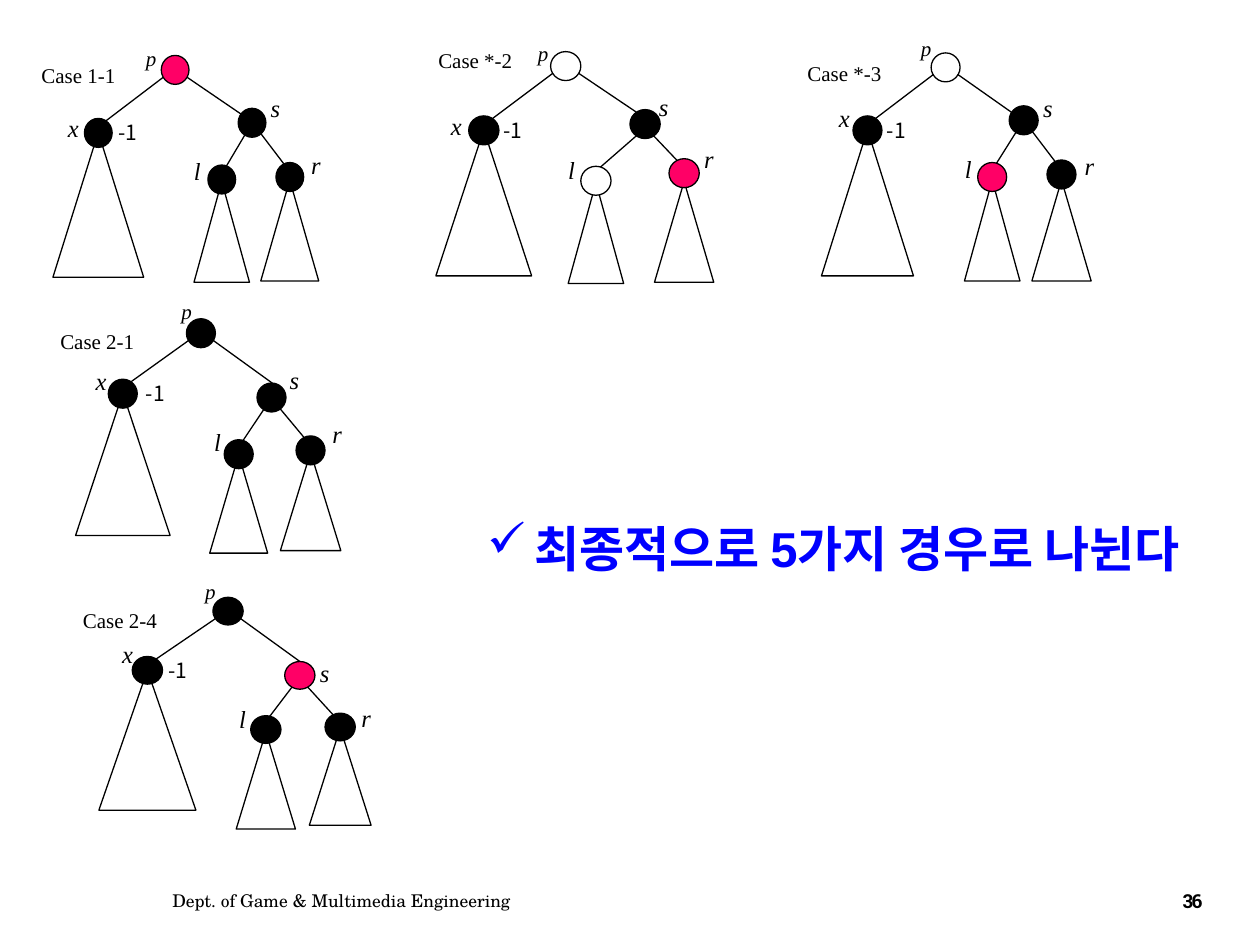
"""Build a slide of five tree cases and their conclusion."""
from lxml import etree
from pptx import Presentation
from pptx.dml.color import RGBColor
from pptx.enum.shapes import MSO_CONNECTOR, MSO_SHAPE
from pptx.enum.text import MSO_ANCHOR, MSO_AUTO_SIZE, PP_ALIGN
from pptx.oxml.ns import qn
from pptx.util import Cm, Pt

INCH = 2.54
BLACK = RGBColor(0x00, 0x00, 0x00)
WHITE = RGBColor(0xFF, 0xFF, 0xFF)
RED = RGBColor(0xFF, 0x00, 0x66)
BLUE = RGBColor(0x00, 0x00, 0xFF)
STRAIGHT = MSO_CONNECTOR.STRAIGHT
OVAL, CONE = MSO_SHAPE.OVAL, MSO_SHAPE.ISOSCELES_TRIANGLE
TOP, MIDDLE = MSO_ANCHOR.TOP, MSO_ANCHOR.MIDDLE
LEFT, CENTER = PP_ALIGN.LEFT, PP_ALIGN.CENTER
GROW, FIXED = MSO_AUTO_SIZE.SHAPE_TO_FIT_TEXT, MSO_AUTO_SIZE.NONE

CASE = {"name": "Times New Roman", "size": Pt(12)}
ROOT = {**CASE, "italic": True}
NODE = {**ROOT, "size": Pt(14)}
COUNT = {"name": "Noto Sans CJK KR", "size": Pt(12)}
CLAIM = {"name": "Arial", "size": Pt(28), "bold": True}
DEPT = {"name": "TeX Gyre Schola", "size": Pt(10)}
PAGE = {"name": "Roboto Slab", "size": Pt(11), "bold": True}

LABEL = {"wrap": False, "fit": GROW, "anchor": TOP, "align": LEFT}
BLOCK = {"wrap": True, "fit": FIXED, "anchor": MIDDLE, "align": LEFT}
MID = {**BLOCK, "align": CENTER}

TREES = [
    {"case": ("Case 1-1", 0.23, 0.45), "size": (0.22, 0.23), "count": (0.84, 0.9), "hit": (0.03, 0.05),
     "nodes": {"p": (1.28, 0.44, RED, 1.06, 0.31), "x": (0.67, 0.94, BLACK, 0.44, 0.85),
               "s": (1.89, 0.86, BLACK, 2.05, 0.69), "l": (1.65, 1.31, BLACK, 1.44, 1.19),
               "r": (2.19, 1.29, BLACK, 2.37, 1.14)},
     "cones": {"x": (0.72, 1.15, 0.11), "l": (0.44, 0.8, 0.13), "r": (0.46, 0.8, 0.14)}},
    {"case": ("Case 2-4", 0.56, 4.77), "size": (0.24, 0.22), "count": (1.24, 5.17), "hit": (0.12, 0),
     "nodes": {"p": (1.69, 4.74, BLACK, 1.53, 4.54), "x": (1.05, 5.21, BLACK, 0.87, 5.02),
               "s": (2.26, 5.25, RED, 2.44, 5.17), "l": (1.99, 5.68, BLACK, 1.8, 5.54),
               "r": (2.58, 5.66, BLACK, 2.77, 5.53)},
     "cones": {"x": (0.77, 1.11, 0.11), "l": (0.47, 0.77, 0.13), "r": (0.49, 0.77, 0.12)}},
    {"case": ("Case 2-1", 0.38, 2.56), "size": (0.23, 0.23), "count": (1.06, 2.97), "hit": (0.12, 0),
     "nodes": {"p": (1.48, 2.53, BLACK, 1.34, 2.32), "x": (0.86, 3.01, BLACK, 0.66, 2.86),
               "s": (2.04, 3.04, BLACK, 2.2, 2.85), "l": (1.78, 3.49, BLACK, 1.6, 3.34),
               "r": (2.35, 3.46, BLACK, 2.54, 3.28)},
     "cones": {"x": (0.75, 1.13, 0.11), "l": (0.46, 0.78, 0.12), "r": (0.48, 0.78, 0.13)}},
    {"case": ("Case *-3", 6.31, 0.43), "size": (0.23, 0.23), "count": (6.94, 0.88), "hit": (0.03, 0.06),
     "nodes": {"p": (7.39, 0.42, None, 7.21, 0.23), "x": (6.77, 0.92, BLACK, 6.56, 0.77),
               "s": (8.01, 0.84, BLACK, 8.18, 0.69), "l": (7.76, 1.29, RED, 7.56, 1.17),
               "r": (8.31, 1.27, BLACK, 8.51, 1.15)},
     "cones": {"x": (0.73, 1.16, 0.11), "l": (0.44, 0.8, 0.14), "r": (0.47, 0.8, 0.16)}},
    {"case": ("Case *-2", 3.38, 0.33), "size": (0.24, 0.23), "count": (3.9, 0.88), "hit": (0.05, 0.02),
     "nodes": {"p": (4.37, 0.41, None, 4.17, 0.27), "x": (3.72, 0.92, BLACK, 3.48, 0.83),
               "s": (5, 0.87, BLACK, 5.13, 0.68), "l": (4.61, 1.32, WHITE, 4.41, 1.18),
               "r": (5.31, 1.26, RED, 5.49, 1.09)},
     "cones": {"x": (0.76, 1.16, 0.11), "l": (0.44, 0.8, 0.13), "r": (0.47, 0.8, 0.18)}},
]

deck = Presentation()
deck.slide_width, deck.slide_height = Cm(10 * INCH), Cm(7.5 * INCH)
slide = deck.slides.add_slide(deck.slide_layouts[6])
shapes = slide.shapes


def write(text, at, style, form=LABEL, color=BLACK):
    box = shapes.add_textbox(*(Cm(v * INCH) for v in at))
    frame = box.text_frame
    frame.word_wrap = form["wrap"]
    frame.auto_size = form["fit"]
    frame.vertical_anchor = form["anchor"]
    line = frame.paragraphs[0]
    line.alignment = form["align"]
    run = line.add_run()
    run.text = text
    for key, val in style.items():
        setattr(run.font, key, val)
    run.font.color.rgb = color
    return line


def draw(kind, at, fill=None):
    shape = shapes.add_shape(kind, *(Cm(v * INCH) for v in at))
    shape.shadow.inherit = False
    if fill is None:
        shape.fill.background()
    else:
        shape.fill.solid()
        shape.fill.fore_color.rgb = fill
    shape.line.color.rgb = BLACK
    shape.line.width = Pt(0.75)


for tree in TREES:
    nodes = tree["nodes"]
    wide, high = tree["size"]
    edges = [
        ("p", "x", (0.02, 0.17), (wide - 0.05, 0.02)),
        ("p", "s", (wide - 0.02, 0.17), tree["hit"]),
        ("s", "l", (0.06, 0.2), (0.14, 0.02)),
        ("s", "r", (0.18, 0.2), (0.07, 0.02)),
    ]
    for start, end, out, hit in edges:
        ends = [nodes[key][i] + gap[i] for key, gap in ((start, out), (end, hit)) for i in (0, 1)]
        edge = shapes.add_connector(STRAIGHT, *(Cm(v * INCH) for v in ends))
        edge.line.color.rgb = BLACK
        edge.line.width = Pt(0.75)
        etree.SubElement(edge._element.spPr, qn("a:effectLst"))
    for key, (base, tall, drop) in tree["cones"].items():
        left, top = nodes[key][:2]
        draw(CONE, (left + (wide - base) / 2, top + drop, base, tall))
    for key, (left, top, fill, tag_x, tag_y) in nodes.items():
        draw(OVAL, (left, top, wide, high), fill)
        write(key, (tag_x, tag_y, 0.28, 0.3 if key == "p" else 0.33), ROOT if key == "p" else NODE)
    name, left, top = tree["case"]
    write(name, (left, top, 0.79, 0.3), CASE)
    write("-1", (*tree["count"], 0.4, 0.3), COUNT)

claim = write("최종적으로 5가지 경우로 나뉜다", (3.56, 3.72, 6.11, 1.25), CLAIM, MID, BLUE)
props = claim._p.get_or_add_pPr()
props.set("marL", str(Cm(0.95)))
props.set("indent", str(Cm(-0.95)))
etree.SubElement(props, qn("a:buChar")).set("char", "✓")

write("Dept. of Game & Multimedia Engineering", (1.27, 6.95, 4.59, 0.4), DEPT, BLOCK)
page = write("36", (9.2, 6.95, 0.53, 0.4), PAGE, MID)
page.runs[0].font._element.set("spc", "-70")

deck.save("out.pptx")
